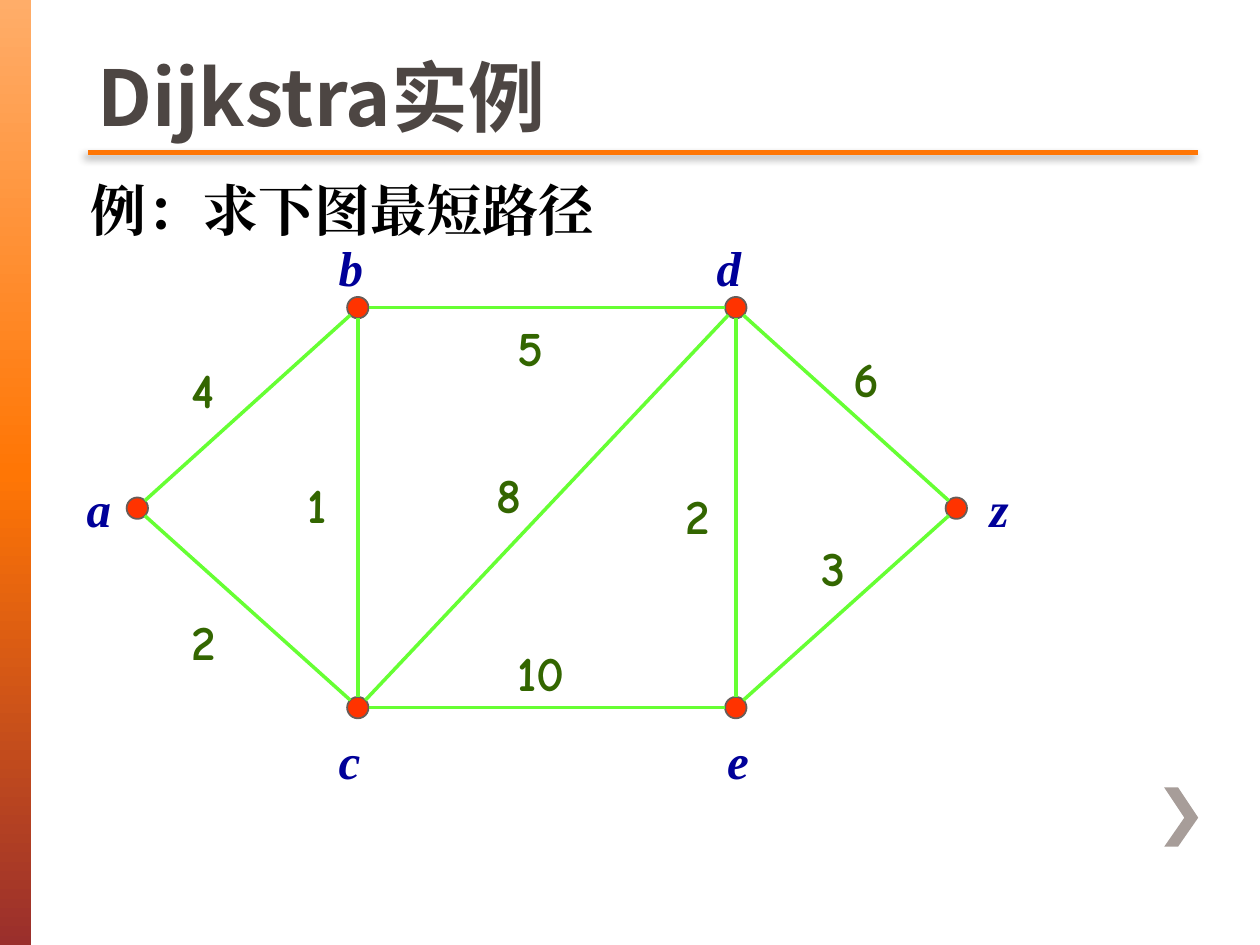
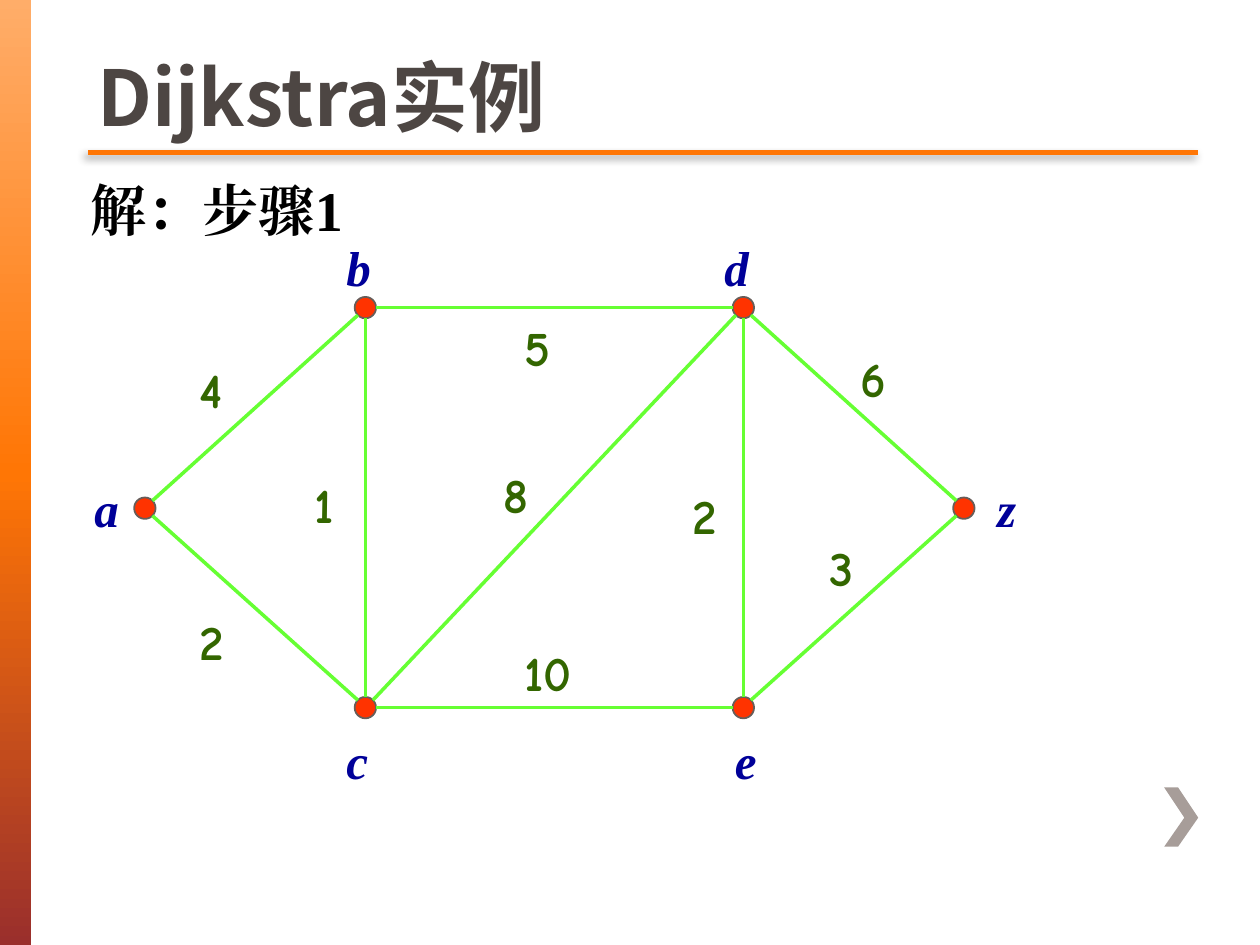
from math import sqrt
from pptx import Presentation
from pptx.dml.color import RGBColor as RGB
from pptx.enum.shapes import MSO_CONNECTOR as LINE, MSO_SHAPE as SHAPE
from pptx.enum.text import MSO_ANCHOR as ANCHOR, MSO_AUTO_SIZE as AUTO, PP_ALIGN as ALIGN
from pptx.oxml import parse_xml
from pptx.oxml.ns import nsdecls
from pptx.util import Inches as In, Pt

HUE = {"title": "4D4643", "text": "000000", "rule": "FF7605", "arrow": "A79D99",
       "node": "FF3300", "rim": "675D59", "edge": "66FF33",
       "name": "000099", "cost": "336600"}
BAND = [(0, "FFAD69"), (50, "FF7605"), (100, "9A2F2C")]
SERIF, SANS, COMIC = "Times New Roman", "Noto Sans CJK SC", "Comic Neue"
NS = nsdecls("a")

# Graph grid: twelfths of an inch from a common corner
CELL, LEFT, TOP = 1 / 12, 0.59, 1.75
RAD = 0.085
NODES = {"a": (6, 27.4), "b": (27, 8.3), "c": (27, 46.4),
         "d": (63, 8.3), "e": (63, 46.4), "z": (84, 27.4)}
EDGES = ["ab", "bd", "dz", "ze", "ec", "ca", "cb", "ed", "cd"]
NAMES = [("a", 0, 23.4), ("b", 24, 0.4), ("d", 60, 0.4),
         ("z", 86, 23.4), ("e", 61, 47.4), ("c", 24, 47.4)]
COSTS = [("4", 10, 12), ("2", 10, 36), ("1", 21, 23), ("5", 41, 8), ("8", 39, 22),
         ("10", 41, 39), ("2", 57, 24), ("6", 73, 11), ("3", 70, 29)]
PAGES = [("例：求下图最短路径", 0), ("解：步骤1", 0.06)]


def write(box, text, size=28, font=SERIF, hue="text", slant=False,
          anchor=ANCHOR.TOP, top=0.1, wrap=True):
    """Put one bold line of formatted text in a box and return its run."""
    frame = box.text_frame
    frame.word_wrap, frame.auto_size = wrap, AUTO.NONE
    frame.vertical_anchor = anchor
    frame.margin_left = frame.margin_right = In(0.1)
    frame.margin_top, frame.margin_bottom = In(top), 0
    par = frame.paragraphs[0]
    par.alignment = ALIGN.LEFT
    run = par.add_run()
    run.text = text
    run.font.size, run.font.name = Pt(size), font
    run.font.bold, run.font.italic = True, slant
    run.font.color.rgb = RGB.from_string(HUE[hue])
    run.font.language_id = None
    run.font._element.append(parse_xml(f'<a:ea {NS} typeface="{font}"/>'))
    return run


def link(shapes, start, end, hue, width, effect=""):
    """Draw a straight line with the given effect in place of its shadow."""
    line = shapes.add_connector(LINE.STRAIGHT, *[In(v) for v in (*start, *end)])
    line.line.color.rgb = RGB.from_string(HUE[hue])
    line.line.width = Pt(width)
    line._element.spPr.append(parse_xml(f"<a:effectLst {NS}>{effect}</a:effectLst>"))


deck = Presentation()
deck.slide_width, deck.slide_height = In(10), In(7.5)

for head, shift in PAGES:
    page = deck.slides.add_slide(deck.slide_layouts[5])
    shapes = page.shapes

    # Side band
    band = shapes.add_shape(SHAPE.RECTANGLE, 0, 0, In(0.25), deck.slide_height)
    stops = "".join(f'<a:gs pos="{pos * 1000}"><a:srgbClr val="{hue}"/></a:gs>'
                    for pos, hue in BAND)
    band._element.spPr.append(parse_xml(
        f'<a:gradFill {NS} rotWithShape="1"><a:gsLst>{stops}</a:gsLst>'
        '<a:lin ang="5400000" scaled="0"/></a:gradFill>'))
    band.line.fill.background()
    band.shadow.inherit = False

    # Corner arrow
    pen = shapes.build_freeform(In(9.35), In(6.25), scale=1.0)
    pen.add_line_segments([(In(x), In(y)) for x, y in (
        (9.24, 6.25), (9.4, 6.49), (9.24, 6.72), (9.35, 6.72), (9.51, 6.49))])
    arrow = pen.convert_to_shape()
    arrow.fill.solid()
    arrow.fill.fore_color.rgb = RGB.from_string(HUE["arrow"])
    arrow.line.fill.background()
    arrow.shadow.inherit = False

    # Title, rule and heading
    link(shapes, (0.7, 1.21), (9.51, 1.21), "rule", 2.5,
         '<a:outerShdw blurRad="63500" dist="38100" dir="8100000">'
         '<a:srgbClr val="000000"><a:alpha val="45000"/></a:srgbClr></a:outerShdw>')
    title = shapes.title
    title.left, title.top, title.width, title.height = In(0.67), 0, In(8.81), In(1.13)
    run = write(title, "Dijkstra实例", size=44, font=SANS, hue="title",
                anchor=ANCHOR.BOTTOM, top=0.05)
    run.font._element.insert(0, parse_xml(
        f'<a:ln {NS} w="12700"><a:solidFill><a:srgbClr val="{HUE["rim"]}"/>'
        '</a:solidFill></a:ln>'))
    write(shapes.add_textbox(In(0.62), In(1.29), In(8.77), In(0.63)), head, size=32)

    # Graph
    graph = shapes.add_group_shape()
    spots = {key: (LEFT + col * CELL, TOP + row * CELL)
             for key, (col, row) in NODES.items()}
    for x, y in spots.values():
        dot = graph.shapes.add_shape(SHAPE.FLOWCHART_CONNECTOR, In(x - RAD), In(y - RAD),
                                     In(2 * RAD), In(2 * RAD))
        dot.fill.solid()
        dot.fill.fore_color.rgb = RGB.from_string(HUE["node"])
        dot.line.color.rgb = RGB.from_string(HUE["rim"])
        dot.line.width = Pt(1)
        dot.shadow.inherit = False
    for one, two in EDGES:
        (x1, y1), (x2, y2) = spots[one], spots[two]
        dx, dy = (x2 > x1) - (x2 < x1), (y2 > y1) - (y2 < y1)
        gap = RAD / sqrt(dx * dx + dy * dy)
        link(graph.shapes, (x1 + dx * gap, y1 + dy * gap),
             (x2 - dx * gap, y2 - dy * gap), "edge", 2)
    for marks, font, hue in ((NAMES, SERIF, "name"), (COSTS, COMIC, "cost")):
        for text, col, row in marks:
            box = graph.shapes.add_textbox(In(LEFT + col * CELL), In(TOP + row * CELL),
                                           In(0.3 + 0.2 * len(text) if len(text) == 1
                                              else 0.8), In(0.57))
            write(box, text, font=font, hue=hue, slant=hue == "name")
    graph.left += In(shift)

deck.save("out.pptx")
